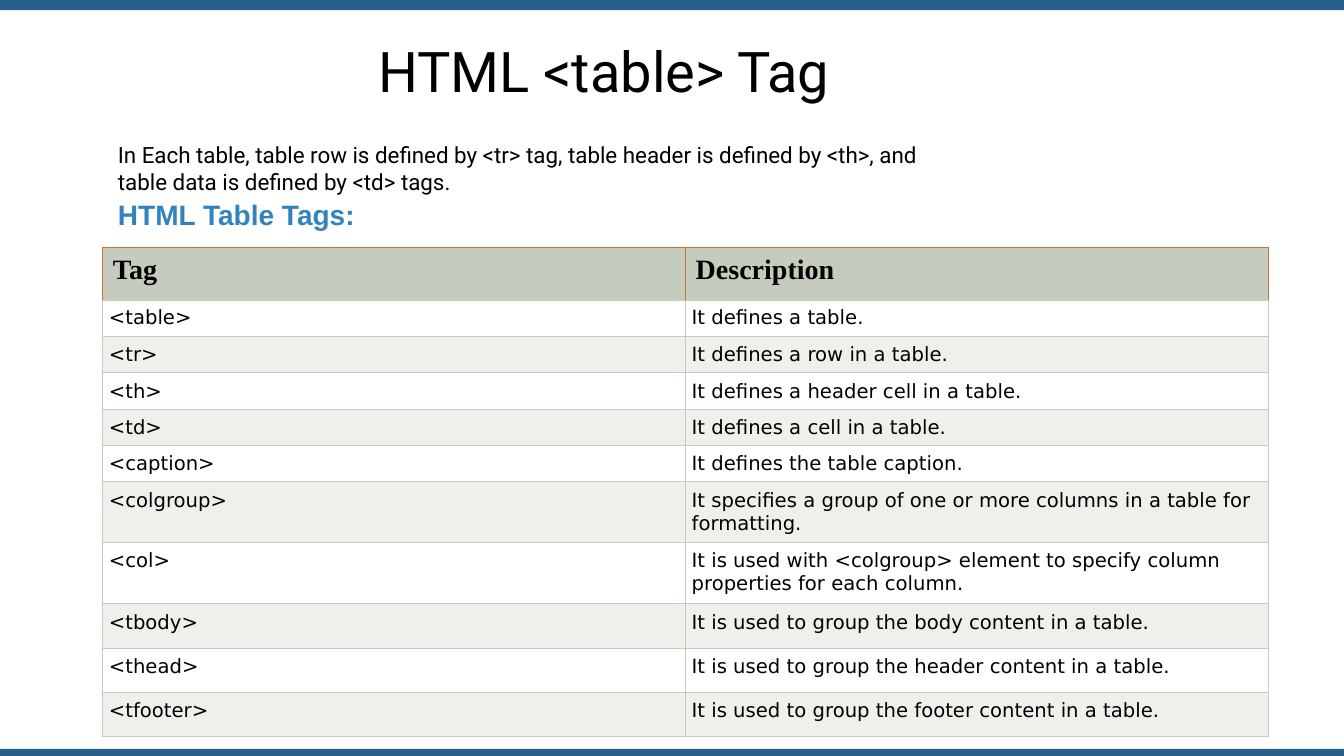
import pptx
import pptx.dml.color
import pptx.enum.shapes
import pptx.oxml
import pptx.oxml.ns
import pptx.util
from pptx.util import Inches

TABLE_ROWS = [
    ("Tag", "Description", 0.53),
    ("<table>", "It defines a table.", 0.36),
    ("<tr>", "It defines a row in a table.", 0.36),
    ("<th>", "It defines a header cell in a table.", 0.36),
    ("<td>", "It defines a cell in a table.", 0.36),
    ("<caption>", "It defines the table caption.", 0.36),
    ("<colgroup>", "It specifies a group of one or more columns in a table for formatting.", 0.6),
    ("<col>", "It is used with <colgroup> element to specify column properties for each column.", 0.61),
    ("<tbody>", "It is used to group the body content in a table.", 0.44),
    ("<thead>", "It is used to group the header content in a table.", 0.44),
    ("<tfooter>", "It is used to group the footer content in a table.", 0.44),
]
SAGE = "C6CCBD"
ORANGE = "D07033"


def color(value):
    return pptx.dml.color.RGBColor.from_string(value)


def add_bar(slide, top, height):
    bar = slide.shapes.add_shape(
        pptx.enum.shapes.MSO_SHAPE.RECTANGLE, 0, Inches(top), Inches(13.33), Inches(height))
    bar.shadow.inherit = False
    bar.fill.solid()
    bar.fill.fore_color.rgb = color("285F8B")
    bar.line.fill.background()


def style_paragraph(paragraph, font, size, fill="000000", bold=False, before=0, indent=0.01):
    paragraph.font.name = font
    paragraph.font.size = pptx.util.Pt(size)
    paragraph.font.bold = bold
    paragraph.font.color.rgb = color(fill)
    paragraph.space_before = pptx.util.Pt(before)
    properties = paragraph._p.get_or_add_pPr()
    properties.set("marL", str(Inches(indent)))
    properties.set("indent", "0")


def add_text(slide, left, top, width, height, lines):
    frame = slide.shapes.add_textbox(
        Inches(left), Inches(top), Inches(width), Inches(height)).text_frame
    frame.word_wrap = True
    frame.margin_left = frame.margin_right = frame.margin_bottom = 0
    frame.margin_top = Inches(0.01)
    frame.text = "\n".join(text for text, style in lines)
    for paragraph, (text, style) in zip(frame.paragraphs, lines):
        style_paragraph(paragraph, **style)


def set_borders(cell, border_colors):
    properties = cell._tc.get_or_add_tcPr()
    for side, value in border_colors.items():
        properties.append(pptx.oxml.parse_xml(
            f'<a:ln{side} {pptx.oxml.ns.nsdecls("a")} w="9525"><a:solidFill>'
            f'<a:srgbClr val="{value}"/></a:solidFill></a:ln{side}>'))


def fill_cell(cell, text, row_index):
    header = row_index == 0
    edge = ORANGE if header else SAGE
    set_borders(cell, {"L": edge, "R": edge, "T": edge, "B": SAGE})
    cell.fill.solid()
    band = "EEF0EB" if row_index % 2 == 0 else "FFFFFF"
    cell.fill.fore_color.rgb = color(SAGE if header else band)
    cell.margin_left = cell.margin_right = cell.margin_bottom = 0
    cell.margin_top = Inches(0.06 if row_index == 1 else 0.07)
    cell.text = text
    paragraph = cell.text_frame.paragraphs[0]
    if header:
        style_paragraph(paragraph, "Times New Roman", 20, bold=True, before=4.8, indent=0.1)
    else:
        before = 4.5 if row_index == 1 else 4.8
        style_paragraph(paragraph, "DejaVu Sans", 14, before=before, indent=0.06)


def add_tag_table(slide):
    table = slide.shapes.add_table(
        len(TABLE_ROWS), 2, Inches(1.02), Inches(2.45), Inches(11.56), Inches(4.86)).table
    table.first_row = table.horz_banding = False
    for row_index, (tag, description, height) in enumerate(TABLE_ROWS):
        table.rows[row_index].height = Inches(height)
        for column_index, text in enumerate((tag, description)):
            fill_cell(table.cell(row_index, column_index), text, row_index)


def main():
    presentation = pptx.Presentation()
    presentation.slide_width = Inches(13.33)
    presentation.slide_height = Inches(7.5)
    slide = presentation.slides.add_slide(presentation.slide_layouts[6])
    add_bar(slide, 0, 0.1)
    add_bar(slide, 7.43, 0.07)
    add_text(slide, 3.74, 0.35, 4.57, 0.69, [
        ("HTML <table> Tag", {"font": "Roboto", "size": 40, "before": 0.9}),
    ])
    add_text(slide, 1.16, 1.39, 8.16, 0.92, [
        ("In Each table, table row is defined by <tr> tag, table header is defined by <th>, and",
         {"font": "Roboto", "size": 16, "before": 0.9}),
        ("table data is defined by <td> tags.", {"font": "Roboto", "size": 16}),
        ("HTML Table Tags:",
         {"font": "Arial", "size": 20, "fill": "3182BD", "bold": True, "before": 2}),
    ])
    add_tag_table(slide)
    presentation.save("out.pptx")


if __name__ == "__main__":
    main()
